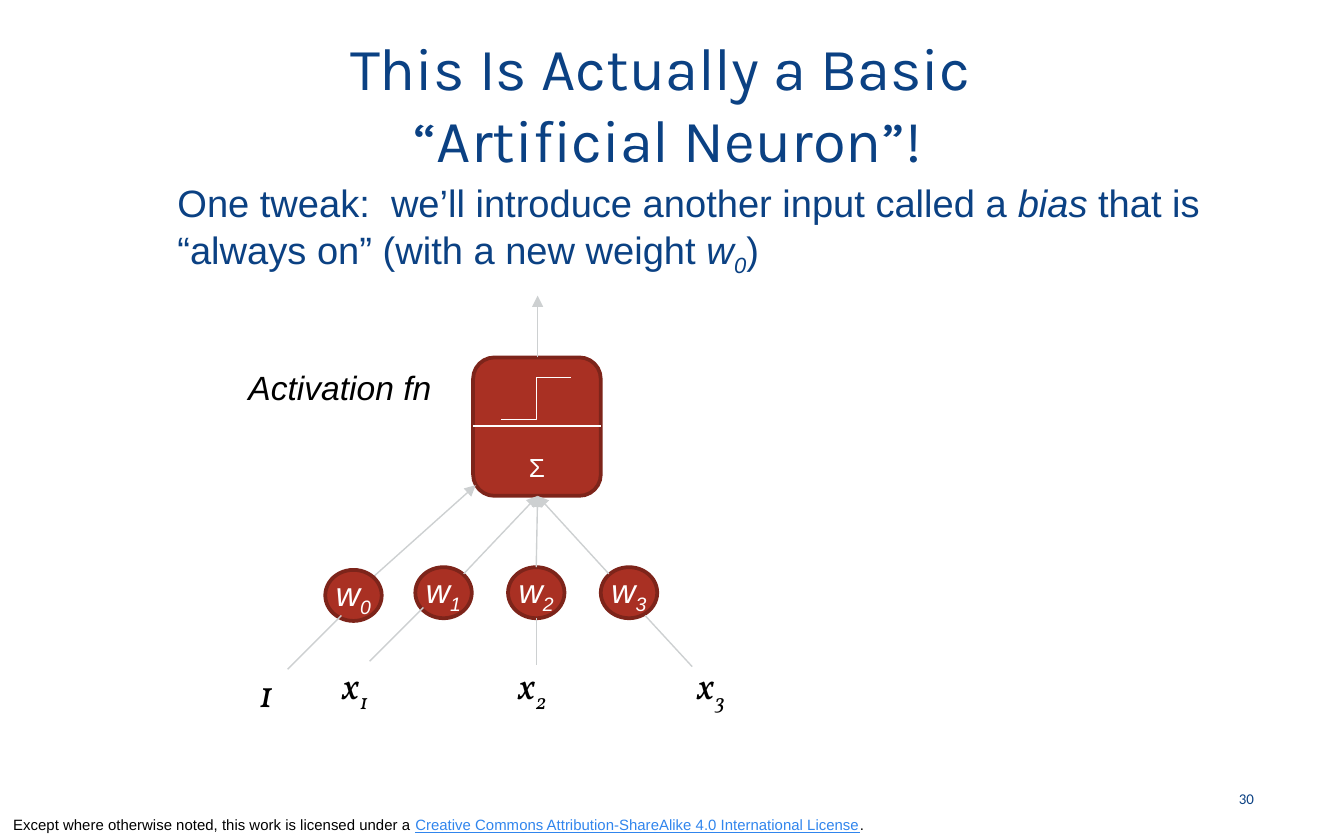
import pptx
import pptx.util
import pptx.dml.color
import pptx.enum.shapes
import pptx.enum.text
import pptx.oxml
import pptx.oxml.ns

Inches = pptx.util.Inches
Pt = pptx.util.Pt
RGBColor = pptx.dml.color.RGBColor
SHAPE = pptx.enum.shapes.MSO_SHAPE
CONNECTOR = pptx.enum.shapes.MSO_CONNECTOR
ALIGN = pptx.enum.text.PP_ALIGN
ANCHOR = pptx.enum.text.MSO_ANCHOR
AUTO_SIZE = pptx.enum.text.MSO_AUTO_SIZE

NAVY = RGBColor(0x0B, 0x41, 0x83)
RED = RGBColor(0xA9, 0x30, 0x23)
DARK_RED = RGBColor(0x7D, 0x24, 0x1A)
GRAY = RGBColor(0xCD, 0xD0, 0xD1)
LINK_BLUE = RGBColor(0x30, 0x85, 0xED)
BLACK = RGBColor(0, 0, 0)
WHITE = RGBColor(0xFF, 0xFF, 0xFF)

ITALIC = {"italic": True}
SUBSCRIPT = {"italic": True, "baseline": -25000}


def add_xml(parent, tag, **attrs):
    el = pptx.oxml.parse_xml(f"<a:{tag} {pptx.oxml.ns.nsdecls('a')}/>")
    for name, value in attrs.items():
        el.set(name, value)
    parent.append(el)


class SlideBuilder:
    def __init__(self, slide):
        self.slide = slide

    def fill_text(self, sp, runs, size, font="Arial", color=BLACK,
                  align=ALIGN.LEFT, **frame):
        """Fill a shape with one paragraph of (text, format) runs."""
        tf = sp.text_frame
        settings = {"word_wrap": True, "auto_size": AUTO_SIZE.NONE, **frame}
        for name, value in settings.items():
            setattr(tf, name, value)
        p = tf.paragraphs[0]
        p.alignment = align
        for text, fmt in runs:
            if text == "\v":
                p.add_line_break()
                continue
            r = p.add_run()
            r.text = text
            fmt = {"name": font, "size": Pt(size), "color": color, **fmt}
            r.font.color.rgb = fmt.pop("color")
            baseline = fmt.pop("baseline", None)
            for name, value in fmt.items():
                setattr(r.font, name, value)
            if baseline:
                r.font._element.set("baseline", str(baseline))
        return p

    def placeholder(self, index, box, runs, size, **style):
        sp = self.slide.placeholders[index]
        for name, value in zip(("left", "top", "width", "height"), box):
            setattr(sp, name, Inches(value))
        return self.fill_text(sp, runs, size, color=NAVY,
                              vertical_anchor=ANCHOR.MIDDLE, **style)

    def text(self, box, runs, size, **style):
        sp = self.slide.shapes.add_textbox(*map(Inches, box))
        return self.fill_text(sp, runs, size, **style)

    def node(self, kind, box, runs, size, **style):
        sp = self.slide.shapes.add_shape(kind, *map(Inches, box))
        sp.shadow.inherit = False
        sp.fill.solid()
        sp.fill.fore_color.rgb = RED
        sp.line.color.rgb = DARK_RED
        sp.line.width = Pt(2)
        self.fill_text(sp, runs, size, color=WHITE, align=ALIGN.CENTER, **style)

    def weight(self, x, y, digit):
        margins = {f"margin_{side}": 0
                   for side in ("left", "top", "right", "bottom")}
        self.node(SHAPE.OVAL, (x, y, 0.42, 0.38),
                  [("w", ITALIC), (digit, SUBSCRIPT)], 18,
                  vertical_anchor=ANCHOR.MIDDLE, **margins)

    def line(self, start, end, color=GRAY, arrow=False,
             kind=CONNECTOR.STRAIGHT):
        c = self.slide.shapes.add_connector(kind, *map(Inches, start + end))
        c.line.color.rgb = color
        c.line.width = Pt(0.75)
        if arrow:
            add_xml(c.line._get_or_add_ln(), "tailEnd", type="triangle")
        add_xml(c._element.spPr, "effectLst")


def main():
    prs = pptx.Presentation()
    prs.slide_width, prs.slide_height = Inches(10), Inches(6.25)
    s = SlideBuilder(prs.slides.add_slide(prs.slide_layouts[1]))

    # License line
    s.text((0, 6.02, 7.5, 0.23), [
        ("Except where otherwise noted, this work is licensed under a\u00a0", {}),
        ("Creative Commons Attribution-ShareAlike 4.0 International License",
         {"color": LINK_BLUE, "underline": True}),
        (".", {}),
    ], 8, vertical_anchor=ANCHOR.BOTTOM)

    # Title and body
    s.placeholder(0, (0.51, 0.17, 8.92, 1.19),
                  [("This Is Actually a Basic ", {}), ("\v", {}),
                   ("“Artificial Neuron”!", {})],
                  32, font="Karla", align=ALIGN.CENTER)
    p = s.placeholder(1, (1.22, 1.33, 8.22, 0.75), [
        ("One tweak:  we’ll introduce another input called a ", {}),
        ("bias", ITALIC),
        (" that is “always on” (with a new weight ", {}),
        ("w", ITALIC), ("0", SUBSCRIPT), (")", {}),
    ], 20.4)
    pPr = p._p.get_or_add_pPr()
    pPr.set("marL", "0")
    pPr.set("indent", "0")
    add_xml(pPr, "buNone")
    p.line_spacing = 0.94
    p.space_before = Pt(0)

    # Slide number
    s.text((8.98, 5.78, 0.45, 0.33), [("30", {})], 8, font="Calibri",
           color=NAVY, align=ALIGN.RIGHT, vertical_anchor=ANCHOR.MIDDLE)

    # Weights and the neuron with its step function
    for i in range(3):
        s.weight(3.09 + 0.69 * i, 4.22, str(i + 1))
    s.node(SHAPE.ROUNDED_RECTANGLE, (3.52, 2.66, 0.95, 1.03),
           [("Σ", {})], 14, vertical_anchor=ANCHOR.BOTTOM)
    s.line((3.52, 3.17), (4.47, 3.17), WHITE)
    s.line((3.73, 3.12), (4.25, 2.81), WHITE, kind=CONNECTOR.ELBOW)
    s.text((1.75, 2.68, 1.58, 0.4), [("Activation fn", ITALIC)], 18,
           word_wrap=False)

    # Weights to neuron, and neuron to output
    for start, end in (((3.45, 4.27), (4, 3.69)), ((3.99, 4.22), (4, 3.69)),
                       ((4.53, 4.27), (4, 3.69)), ((2.78, 4.29), (3.54, 3.61)),
                       ((4, 2.66), (4, 2.2))):
        s.line(start, end, arrow=True)

    # Inputs to weights
    for start, end in (((3.15, 4.52), (2.75, 4.92)), ((3.99, 4.6), (3.99, 4.95)),
                       ((4.8, 4.58), (5.15, 4.96))):
        s.line(start, end)
    for i, (x, width) in enumerate(((2.45, 0.4), (3.76, 0.43), (5.09, 0.43))):
        s.text((x, 4.88, width, 0.44),
               [("x", ITALIC), (str(i + 1), SUBSCRIPT)], 20,
               font="Vollkorn", word_wrap=False)

    # Bias weight and its constant input
    s.weight(2.42, 4.24, "0")
    s.line((2.54, 4.58), (2.14, 4.98))
    s.text((1.83, 4.94, 0.29, 0.44), [("1", ITALIC)], 20,
           font="Vollkorn", word_wrap=False)

    prs.save("out.pptx")


if __name__ == "__main__":
    main()
